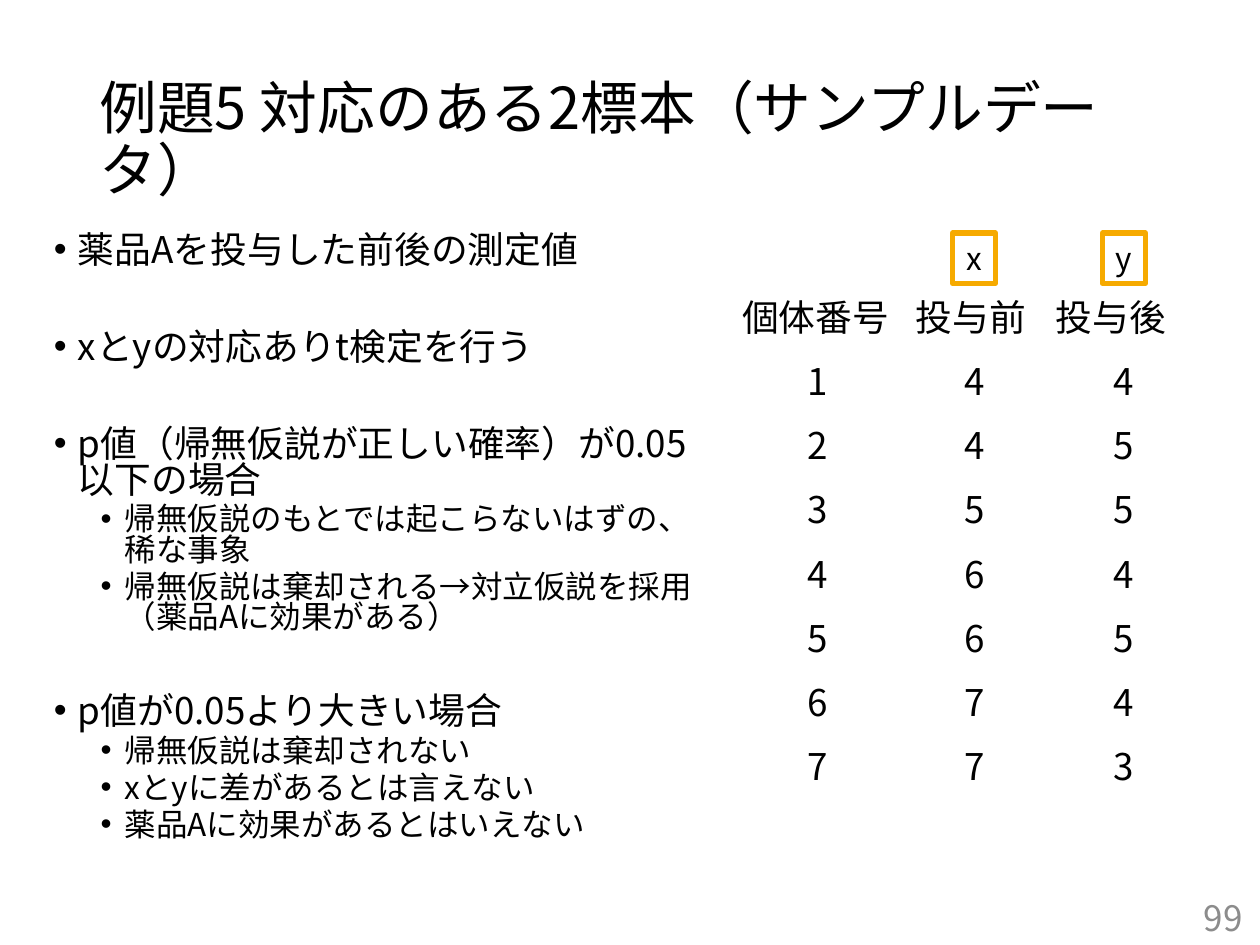
from lxml import etree
from pptx import Presentation
from pptx.dml.color import RGBColor
from pptx.enum.shapes import MSO_SHAPE
from pptx.enum.text import MSO_ANCHOR, PP_ALIGN
from pptx.oxml.ns import qn
from pptx.util import Inches, Pt

LEFT, CENTER, RIGHT = PP_ALIGN.LEFT, PP_ALIGN.CENTER, PP_ALIGN.RIGHT
TOP, MIDDLE = MSO_ANCHOR.TOP, MSO_ANCHOR.MIDDLE
RECTANGLE = MSO_SHAPE.RECTANGLE

# Content
TITLE = "例題5 対応のある2標本（サンプルデータ）"
SECTIONS = [
    ("薬品Aを投与した前後の測定値", []),
    ("xとyの対応ありt検定を行う", []),
    ("p値（帰無仮説が正しい確率）が0.05以下の場合", [
        "帰無仮説のもとでは起こらないはずの、稀な事象",
        "帰無仮説は棄却される→対立仮説を採用（薬品Aに効果がある）",
    ]),
    ("p値が0.05より大きい場合", [
        "帰無仮説は棄却されない",
        "xとyに差があるとは言えない",
        "薬品Aに効果があるとはいえない",
    ]),
]
HEADER = ["個体番号", "投与前", "投与後"]
BEFORE = [4, 4, 5, 6, 6, 7, 7]
AFTER = [4, 5, 5, 4, 5, 4, 3]
VARIABLES = ["x", "y"]
PAGE_NUMBER = "99"

THEME = {
    "font": "Noto Sans CJK JP",
    "text": RGBColor(0x00, 0x00, 0x00),
    "accent": RGBColor(0xF6, 0xAA, 0x00),
    "muted": RGBColor(0x8C, 0x8C, 0x8C),
    "title": 33, "body": 21, "detail": 18, "page": 20,
}

# Layout in inches, spacing in points
TITLE_BOX = (0.69, 0.4, 8.62, 1.45)
BODY_BOX = (0.33, 1.82, 5.31, 5.44)
PAGE_BOX = (7.71, 7.08, 2.25, 0.4)
TABLE_LEFT, TABLE_TOP, ROW_HEIGHT = 5.8, 2.25, 0.51
COLUMN_WIDTHS = [1.38, 1.11, 1.25]
CELL_MARGIN_X, CELL_MARGIN_Y = 0.09, 0.04
LABEL_LEFT, LABEL_STEP = 7.56, 1.19
LABEL_WIDTH, LABEL_HEIGHT = 0.34, 0.4
HANGING, LEVEL_INDENT = 0.19, 0.37
TITLE_SPACING, BODY_SPACING = 0.9, 0.8
SECTION_GAP, DETAIL_GAP = 35.3, 3.8


def write(paragraph, text, size, color=THEME["text"], alignment=LEFT):
    paragraph.text = text
    paragraph.alignment = alignment
    for run in paragraph.runs:
        run.font.name = THEME["font"]
        run.font.size = Pt(size)
        run.font.color.rgb = color
        east_asian = etree.SubElement(run.font._element, qn("a:ea"))
        east_asian.set("typeface", THEME["font"])


def add_text_box(slide, box, anchor):
    frame = slide.shapes.add_textbox(*map(Inches, box)).text_frame
    frame.word_wrap = True
    frame.vertical_anchor = anchor
    return frame


def add_bullet(paragraph, level):
    properties = paragraph._p.get_or_add_pPr()
    properties.set("marL", str(Inches(HANGING + level * LEVEL_INDENT)))
    properties.set("indent", str(-Inches(HANGING)))
    etree.SubElement(properties, qn("a:buFont")).set("typeface", "Arial")
    etree.SubElement(properties, qn("a:buChar")).set("char", "•")


def add_outline(slide):
    frame = add_text_box(slide, BODY_BOX, TOP)
    items = []
    for heading, details in SECTIONS:
        items.append((heading, 0, THEME["body"], SECTION_GAP))
        items += [(detail, 1, THEME["detail"], DETAIL_GAP) for detail in details]
    for index, (text, level, size, gap) in enumerate(items):
        paragraph = frame.add_paragraph() if index else frame.paragraphs[0]
        add_bullet(paragraph, level)
        write(paragraph, text, size)
        paragraph.level = level
        paragraph.line_spacing = BODY_SPACING
        paragraph.space_before = Pt(gap if index else 0)


def add_data_table(slide):
    rows = [HEADER] + [
        (number, *values)
        for number, values in enumerate(zip(BEFORE, AFTER), start=1)
    ]
    table = slide.shapes.add_table(
        len(rows), len(HEADER), Inches(TABLE_LEFT), Inches(TABLE_TOP),
        Inches(sum(COLUMN_WIDTHS)), Inches(ROW_HEIGHT * len(rows)),
    ).table
    table.first_row = table.horz_banding = False
    for column, width in zip(table.columns, COLUMN_WIDTHS):
        column.width = Inches(width)
    for row_index, values in enumerate(rows):
        table.rows[row_index].height = Inches(ROW_HEIGHT)
        for column_index, value in enumerate(values):
            cell = table.cell(row_index, column_index)
            cell.fill.background()
            cell.margin_left = cell.margin_right = Inches(CELL_MARGIN_X)
            cell.margin_top = cell.margin_bottom = Inches(CELL_MARGIN_Y)
            write(cell.text_frame.paragraphs[0], str(value), THEME["body"],
                  alignment=CENTER if row_index else LEFT)


def add_variable_label(slide, name, index):
    shape = slide.shapes.add_shape(
        RECTANGLE, Inches(LABEL_LEFT + index * LABEL_STEP),
        Inches(TABLE_TOP - LABEL_HEIGHT), Inches(LABEL_WIDTH), Inches(LABEL_HEIGHT),
    )
    shape.shadow.inherit = False
    shape.fill.background()
    shape.line.color.rgb = THEME["accent"]
    shape.line.width = Pt(3)
    shape.text_frame.word_wrap = False
    shape.text_frame.vertical_anchor = MIDDLE
    write(shape.text_frame.paragraphs[0], name, THEME["detail"], alignment=CENTER)


def main():
    presentation = Presentation()
    presentation.slide_width, presentation.slide_height = Inches(10), Inches(7.5)
    slide = presentation.slides.add_slide(presentation.slide_layouts[6])

    # Title
    title = add_text_box(slide, TITLE_BOX, MIDDLE).paragraphs[0]
    write(title, TITLE, THEME["title"])
    title.line_spacing = TITLE_SPACING

    # Explanation, sample data and variable labels
    add_outline(slide)
    add_data_table(slide)
    for index, name in enumerate(VARIABLES):
        add_variable_label(slide, name, index)

    # Page number
    page = add_text_box(slide, PAGE_BOX, MIDDLE).paragraphs[0]
    write(page, PAGE_NUMBER, THEME["page"], THEME["muted"], RIGHT)

    presentation.save("out.pptx")


if __name__ == "__main__":
    main()
